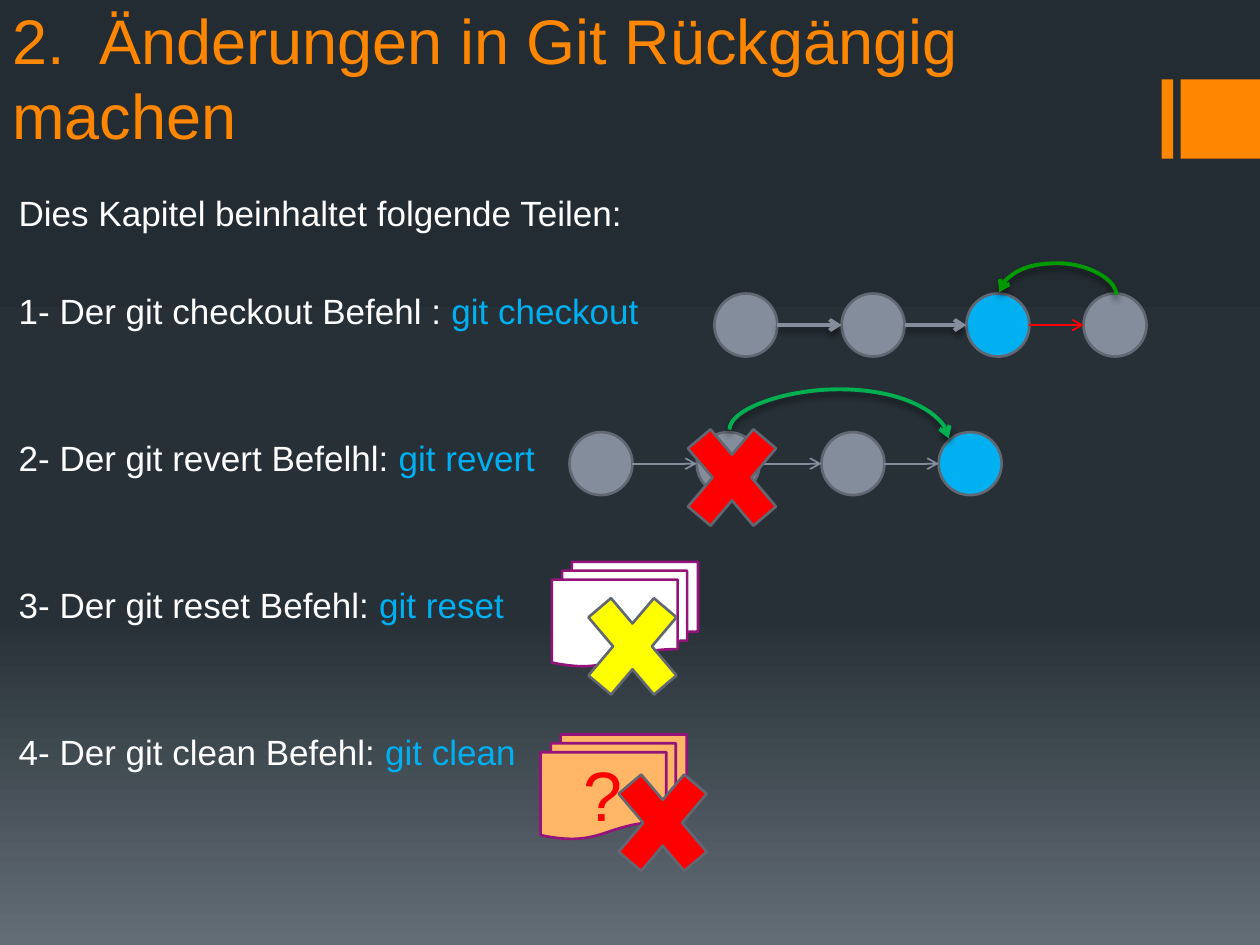
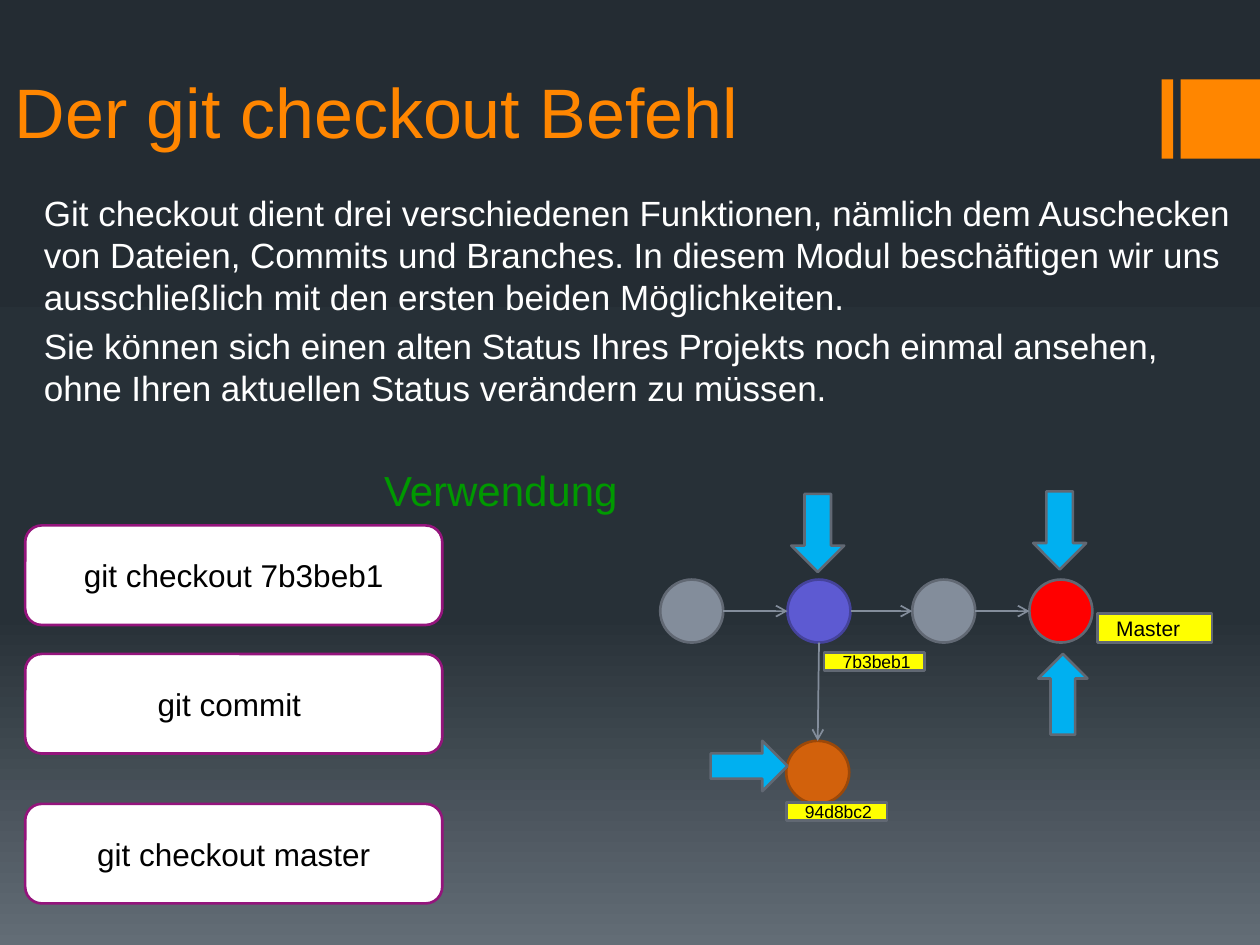
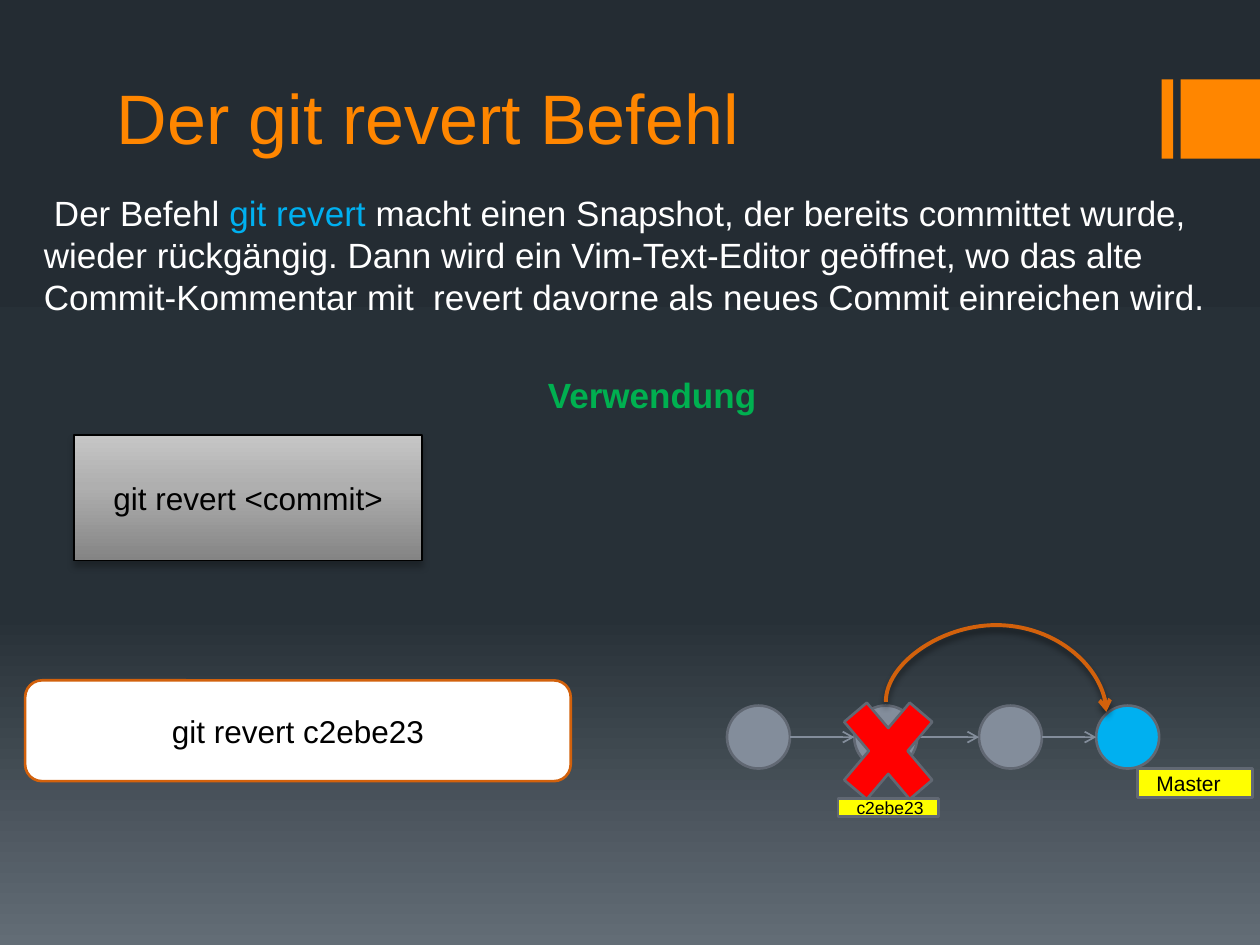
"""Builds three slides on undoing changes in Git."""
from lxml.etree import SubElement
from pptx import Presentation
from pptx.dml.color import RGBColor
from pptx.enum.shapes import MSO_CONNECTOR as CXN, MSO_SHAPE as SHP
from pptx.enum.text import MSO_ANCHOR as ANC, PP_ALIGN as AL
from pptx.oxml.ns import qn
from pptx.util import Inches, Pt

COLORS = {
    "orange": "FF8600", "white": "FFFFFF", "black": "000000", "blue": "00B0F0",
    "gray": "838D9B", "edge": "616873", "red": "FF0000", "yellow": "FFFF00",
    "green": "00B050", "leaf": "009900", "purple": "94147C", "peach": "FFB666",
    "violet": "5D5AD2", "violet_edge": "45439B", "rust": "D2610C", "rust_edge": "9B4809",
    "night": "242C33", "slate": "273037", "mist": "636D76",
    "silver": "C6C6C6", "steel": "AFAFAF", "iron": "848484",
}
FONT = "Arial"
COLS, ROWS = 100, 75
DOT = 5
STEPS = (0, 10.1, 20, 29.3)
THIN = ("gray", 1, None)
THICK = ("gray", 2.25, (48, 3.8))


def rgb(name):
    return RGBColor.from_string(COLORS[name])


def gradient(owner, fill, stops):
    fill.gradient()
    fill.gradient_angle = 270
    gs_list = next(owner.iter(qn("a:gsLst")))
    for gs in list(gs_list):
        gs_list.remove(gs)
    for pos, name in stops:
        gs = SubElement(gs_list, qn("a:gs"), pos=str(pos * 1000))
        SubElement(gs, qn("a:srgbClr"), val=COLORS[name])


def cast_shadow(effects, shadow):
    alpha, blur = shadow
    outer = SubElement(effects, qn("a:outerShdw"), blurRad=str(Pt(blur)),
                       dist=str(Pt(3)), dir="5400000", rotWithShape="0")
    clr = SubElement(outer, qn("a:srgbClr"), val=COLORS["black"])
    SubElement(clr, qn("a:alpha"), val=str(alpha * 1000))


class Deck:
    def __init__(self):
        self.prs = Presentation()
        self.prs.slide_width, self.prs.slide_height = Inches(10), Inches(7.5)
        master = self.prs.slide_master
        gradient(master.element, master.background.fill,
                 [(0, "night"), (65, "slate"), (100, "mist")])
        self.s = None

    def x(self, cols):
        return round(self.prs.slide_width * cols / COLS)

    def y(self, rows):
        return round(self.prs.slide_height * rows / ROWS)

    def box(self, left, top, width, height):
        return self.x(left), self.y(top), self.x(width), self.y(height)

    def slide(self, title, area, size=40):
        self.s = self.prs.slides.add_slide(self.prs.slide_layouts[6])
        for left, width in ((92.2, 0.9), (93.7, 6.3)):
            self.shape(SHP.RECTANGLE, (left, 6.3, width, 6.3), "orange", None)
        tf = self.textbox(area)
        tf.vertical_anchor = ANC.BOTTOM
        self.para(tf.paragraphs[0], [(title, "orange")], size, leading=1.2)

    def textbox(self, area):
        tf = self.s.shapes.add_textbox(*self.box(*area)).text_frame
        tf.word_wrap = True
        return tf

    def para(self, p, runs, size, align=AL.LEFT, margin=0, indent=0, before=0,
             leading=None, bold=False):
        p.alignment = align
        p.space_before = Pt(before)
        if leading:
            p.line_spacing = Pt(size * leading)
        pPr = p._p.get_or_add_pPr()
        pPr.set("marL", str(self.x(margin)))
        pPr.set("indent", str(self.x(indent)))
        for text, color in runs:
            r = p.add_run()
            r.text = text
            r.font.name, r.font.size, r.font.bold = FONT, Pt(size), bold
            r.font.color.rgb = rgb(color)

    def body(self, area, paras):
        tf = self.textbox(area)
        for i, (runs, style) in enumerate(paras):
            p = tf.add_paragraph() if i else tf.paragraphs[0]
            self.para(p, runs, **{"size": 20, "margin": 0.5, "leading": 1.2, **style})

    def shape(self, kind, area, fill, edge="edge", weight=1.5, shadow=None):
        sp = self.s.shapes.add_shape(kind, *self.box(*area))
        sp.shadow.inherit = False
        if shadow:
            cast_shadow(sp.element.spPr.find(qn("a:effectLst")), shadow)
        if isinstance(fill, str):
            sp.fill.solid()
            sp.fill.fore_color.rgb = rgb(fill)
        else:
            gradient(sp.element, sp.fill, fill)
        if edge:
            sp.line.color.rgb = rgb(edge)
            sp.line.width = Pt(weight)
        else:
            sp.line.fill.background()
        return sp

    def caption(self, sp, text, size, color="black", **style):
        tf = sp.text_frame
        tf.word_wrap = True
        tf.vertical_anchor = ANC.MIDDLE
        self.para(tf.paragraphs[0], [(text, color)], size, **style)

    def command(self, area, text, edge):
        sp = self.shape(SHP.ROUNDED_RECTANGLE, area, "white", edge)
        self.caption(sp, text, 18, align=AL.CENTER)

    def tag(self, left, top, text, branch=False):
        width, height, size = (9.1, 2.3, 12) if branch else (8, 1.4, 10)
        sp = self.shape(SHP.RECTANGLE, (left, top, width, height), "yellow")
        self.caption(sp, text, size, margin=0.5)

    def cross(self, left, top, fill="red"):
        self.shape(SHP.MATH_MULTIPLY, (left, top, 10, 11.8), fill)

    def commit(self, left, top, fill, edge="edge"):
        self.shape(SHP.FLOWCHART_CONNECTOR, (left, top, DOT, DOT), fill, edge)

    def arrow(self, start, end, style=THIN, kind=CXN.STRAIGHT):
        color, weight, shadow = style
        cxn = self.s.shapes.add_connector(
            kind, self.x(start[0]), self.y(start[1]), self.x(end[0]), self.y(end[1]))
        cxn.line.color.rgb = rgb(color)
        cxn.line.width = Pt(weight)
        spPr = cxn.element.spPr
        SubElement(spPr.find(qn("a:ln")), qn("a:tailEnd"), type="arrow")
        effects = SubElement(spPr, qn("a:effectLst"))
        if shadow:
            cast_shadow(effects, shadow)
        return spPr

    def arc(self, start, end, peak, color):
        (x1, y1), (x2, y2) = start, end
        mx, my = (x1 + x2) / 2, (y1 + y2) / 2
        dx, dy = (y1 - y2) / 2, (x2 - x1) / 2
        spPr = self.arrow((mx - dx, my - dy), (mx + dx, my + dy),
                          (color, 2.25, (48, 3.8)), CXN.CURVE)
        spPr.find(qn("a:xfrm")).set("rot", "16200000")
        geom = spPr.find(qn("a:prstGeom"))
        guides = geom.find(qn("a:avLst"))
        if guides is None:
            guides = SubElement(geom, qn("a:avLst"))
        bend = round((peak - y1) / (y2 - y1) * 100000)
        SubElement(guides, qn("a:gd"), name="adj1", fmla=f"val {bend}")

    def chain(self, left, top, fills, links=(THIN,) * 3):
        mid = top + DOT / 2
        lefts = [left + step for step in STEPS]
        for at, (fill, edge) in zip(lefts, fills):
            self.commit(at, top, fill, edge)
        for a, b, style in zip(lefts, lefts[1:], links):
            self.arrow((a + DOT, mid), (b, mid), style)


PLAIN, HEAD = ("gray", "edge"), ("blue", "edge")


def overview(d):
    d.slide("2.  Änderungen in Git Rückgängig machen", (0, 0, 90.9, 12.6), 36)
    topics = [("1- Der git checkout Befehl : ", "git checkout"),
              ("2- Der git revert Befelhl: ", "git revert"),
              ("3- Der git reset Befehl: ", "git reset"),
              ("4- Der git clean Befehl: ", "git clean")]
    paras = [([("Dies Kapitel beinhaltet folgende Teilen:", "white")], {})]
    for i, (label, command) in enumerate(topics):
        paras.append(([(label, "white"), (command, "blue")], {"before": 60 if i else 32}))
    d.body((0, 14.7, 100, 60.3), paras)

    d.chain(45.2, 34.3, [PLAIN, PLAIN, PLAIN, HEAD])
    d.cross(53.1, 32)
    d.arc((57.9, 34.1), (75.3, 34.8), 30.9, "green")
    d.shape(SHP.FLOWCHART_MULTIDOCUMENT, (43.8, 44.6, 11.6, 8.3), "white", "purple")
    d.cross(45.2, 45.4, "yellow")
    files = d.shape(SHP.FLOWCHART_MULTIDOCUMENT, (42.9, 58.3, 11.6, 8.3), "peach", "purple")
    d.caption(files, "?", 40, "red", align=AL.CENTER)
    d.cross(47.6, 59.4)
    d.chain(56.7, 23.3, [PLAIN, PLAIN, HEAD, PLAIN], [THICK, THICK, ("red", 1, None)])
    d.arc((88.6, 23.4), (79.3, 23.2), 20.9, "leaf")


def checkout(d):
    d.slide("Der git checkout Befehl", (0.2, 0, 90.8, 12.6))
    d.body((2, 14.7, 97.6, 58.3), [
        ([("Git checkout dient drei verschiedenen Funktionen, nämlich dem Auschecken von "
           "Dateien, Commits und Branches. In diesem Modul beschäftigen wir uns "
           "ausschließlich mit den ersten beiden Möglichkeiten.", "white")], {}),
        ([("Sie können sich einen alten Status Ihres Projekts noch einmal ansehen, ohne "
           "Ihren aktuellen Status verändern zu müssen.", "white")], {"before": 4}),
        ([("Verwendung", "leaf")], {"before": 32, "size": 24, "margin": 27.5}),
    ])
    for top, text in ((41.7, "git checkout 7b3beb1"), (51.9, "git commit "),
                      (63.8, "git checkout master")):
        d.command((2, top, 33.1, 7.9), text, "purple")

    d.chain(52.4, 46, [PLAIN, ("violet", "violet_edge"), PLAIN, ("red", "edge")])
    d.tag(87.1, 48.7, "Master", branch=True)
    d.tag(65.4, 51.8, "7b3beb1")
    d.commit(62.4, 58.8, "rust", "rust_edge")
    d.arrow((65, 51), (64.9, 58.8))
    d.tag(62.4, 63.7, "94d8bc2")
    for kind, area in ((SHP.DOWN_ARROW, (82, 39, 4.2, 6.2)),
                       (SHP.DOWN_ARROW, (62.8, 39.2, 4.2, 6.2)),
                       (SHP.RIGHT_ARROW, (56.4, 58.8, 6.1, 4)),
                       (SHP.UP_ARROW, (82.4, 51.9, 3.9, 6.4))):
        d.shape(kind, area, "blue")


def revert(d):
    d.slide("Der git revert Befehl", (8.3, 0.5, 80, 12.6))
    d.body((2, 14.7, 96.9, 58.3), [
        ([("Der Befehl ", "white"), ("git revert ", "blue"),
          ("macht einen Snapshot, der bereits committet wurde, wieder rückgängig. Dann wird "
           "ein Vim-Text-Editor geöffnet, wo das alte Commit-Kommentar mit  revert davorne "
           "als neues Commit einreichen wird.", "white")], {"indent": 0.8}),
        ([("Verwendung", "green")], {"before": 32, "margin": 40.5, "bold": True}),
    ])
    d.chain(57.7, 56, [PLAIN, PLAIN, PLAIN, HEAD])
    d.tag(90.3, 61, "Master", branch=True)
    d.tag(66.5, 63.4, "c2ebe23")
    d.cross(65.5, 53.7)
    d.arc((70.3, 55.7), (87.8, 56.5), 49.6, "rust")
    d.command((2, 54, 43.3, 8), "git revert c2ebe23", "rust")
    syntax = d.shape(SHP.RECTANGLE, (5.9, 34.5, 27.6, 10),
                     [(0, "silver"), (41, "steel"), (100, "iron")], "black", 1, (28, 4))
    d.caption(syntax, "git revert <commit>", 18, align=AL.CENTER)


def main():
    d = Deck()
    for build in (overview, checkout, revert):
        build(d)
    d.prs.save("out.pptx")


if __name__ == "__main__":
    main()
